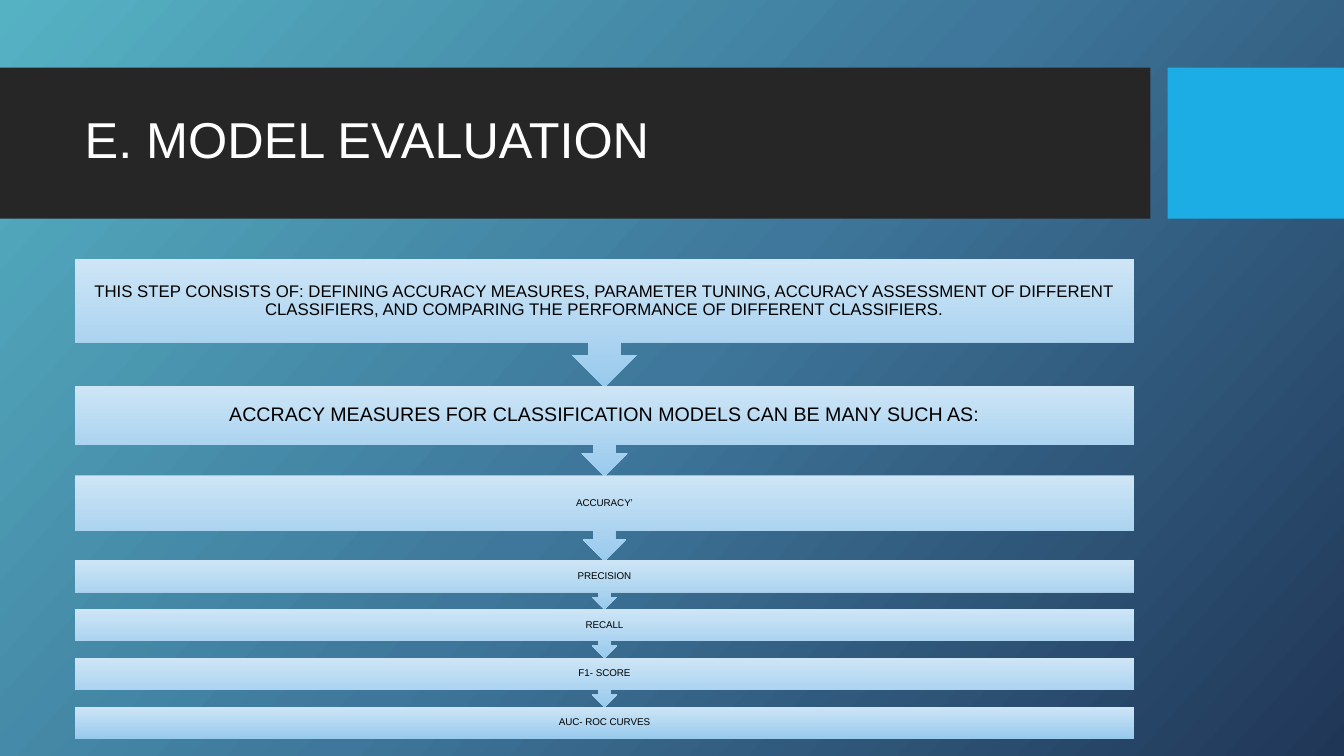
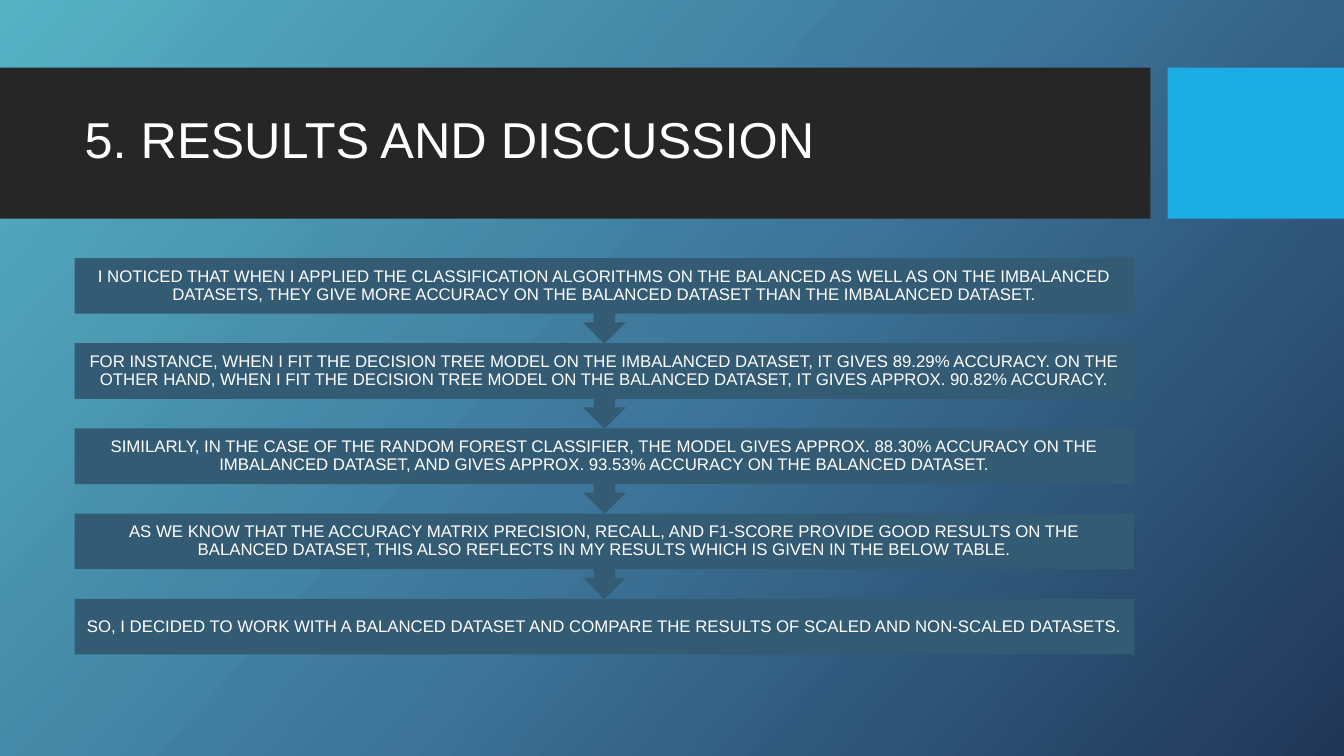
import copy
from dataclasses import dataclass

import pptx
import pptx.dml.color
import pptx.enum.shapes
import pptx.enum.text
import pptx.oxml.ns
import pptx.util

Inches = pptx.util.Inches
Shape = pptx.enum.shapes.MSO_SHAPE
Align = pptx.enum.text.PP_ALIGN


@dataclass(frozen=True)
class Theme:
    font: str = "Arial"
    backdrop: tuple = ("55B2C3", "3E779B", "203657")
    band: str = "262626"
    accent: str = "1CADE4"
    pale: tuple = ("CEE5F6", "98CAED")
    slate: str = "335B74"
    dark_text: str = "000000"
    light_text: str = "FFFFFF"
    title_size: int = 36
    lead_size: int = 14
    body_size: int = 12
    small_size: int = 7


THEME = Theme()
LEFT, WIDTH = 0.74, 10.51
BOX_SHARE = 0.65  # part of a callout's height above its arrow

# Each step: text, height with arrow, type size, inset
EVALUATION_STEPS = [
    ("THIS STEP CONSISTS OF: DEFINING ACCURACY MEASURES, PARAMETER TUNING, "
     "ACCURACY ASSESSMENT OF DIFFERENT CLASSIFIERS, AND COMPARING THE "
     "PERFORMANCE OF DIFFERENT CLASSIFIERS.", 1.27, THEME.body_size, 0.09),
    ("ACCRACY MEASURES FOR CLASSIFICATION MODELS CAN BE MANY SUCH AS:",
     0.9, THEME.lead_size, 0.11),
    ("ACCURACY’", 0.85, THEME.small_size, 0.05),
] + [(measure, 0.49, THEME.small_size, 0.05)
     for measure in ("PRECISION", "RECALL", "F1- SCORE", "AUC- ROC CURVES")]

RESULT_STEPS = [(text, 0.85, THEME.body_size, 0.09) for text in (
    "I NOTICED THAT WHEN I APPLIED THE CLASSIFICATION ALGORITHMS ON THE "
    "BALANCED AS WELL AS ON THE IMBALANCED DATASETS, THEY GIVE MORE ACCURACY "
    "ON THE BALANCED DATASET THAN THE IMBALANCED DATASET.",
    "FOR INSTANCE, WHEN I FIT THE DECISION TREE MODEL ON THE IMBALANCED "
    "DATASET, IT GIVES 89.29% ACCURACY. ON THE OTHER HAND, WHEN I FIT THE "
    "DECISION TREE MODEL ON THE BALANCED DATASET, IT GIVES APPROX. 90.82% "
    "ACCURACY.",
    "SIMILARLY, IN THE CASE OF THE RANDOM FOREST CLASSIFIER, THE MODEL GIVES "
    "APPROX. 88.30% ACCURACY ON THE IMBALANCED DATASET, AND GIVES APPROX. "
    "93.53% ACCURACY ON THE BALANCED DATASET.",
    "AS WE KNOW THAT THE ACCURACY MATRIX PRECISION, RECALL, AND F1-SCORE "
    "PROVIDE GOOD RESULTS ON THE BALANCED DATASET, THIS ALSO REFLECTS IN MY "
    "RESULTS WHICH IS GIVEN IN THE BELOW TABLE.",
    "SO, I DECIDED TO WORK WITH A BALANCED DATASET AND COMPARE THE RESULTS "
    "OF SCALED AND NON-SCALED DATASETS.",
)]


def rgb(value):
    return pptx.dml.color.RGBColor.from_string(value)


def set_all(target, values):
    for name, value in values.items():
        setattr(target, name, value)


def fill_gradient(fill, element, colors, angle):
    """Fill with evenly spaced colours; angle is clockwise in degrees."""
    fill.gradient()
    fill.gradient_angle = 360 - angle
    stops = element.find(".//" + pptx.oxml.ns.qn("a:gsLst"))
    while len(stops) < len(colors):
        stops.append(copy.deepcopy(stops[0]))
    for i, (stop, color) in enumerate(zip(fill.gradient_stops, colors)):
        stop.color.rgb = rgb(color)
        stop.position = i / (len(colors) - 1)


class Deck:
    def __init__(self, theme):
        self.theme = theme
        self.prs = pptx.Presentation()
        set_all(self.prs, {"slide_width": Inches(13.33),
                           "slide_height": Inches(7.5)})
        master = self.prs.slide_master
        fill_gradient(master.background.fill, master.element, theme.backdrop, 42)
        self.s = None

    def slide(self, title):
        self.s = self.prs.slides.add_slide(self.prs.slide_layouts[5])
        self.shape(Shape.RECTANGLE, 0, 0.67, 11.41, 1.5, self.theme.band)
        self.shape(Shape.RECTANGLE, 11.58, 0.67, 1.75, 1.5, self.theme.accent)
        sp = self.s.shapes.title
        self.s.shapes.element.append(sp.element)  # bring in front of the bands
        set_all(sp, {"left": Inches(LEFT), "top": Inches(0.82),
                     "width": Inches(WIDTH), "height": Inches(1.18)})
        self.text(sp, title, self.theme.title_size, self.theme.light_text,
                  Align.LEFT, 0.1)

    def shape(self, kind, left, top, width, height, fill):
        """Add a borderless shape; a tuple of colours makes a gradient."""
        sp = self.s.shapes.add_shape(kind, Inches(left), Inches(top),
                                     Inches(width), Inches(height))
        sp.shadow.inherit = False
        sp.line.fill.background()
        if isinstance(fill, tuple):
            fill_gradient(sp.fill, sp.element, fill, 90)
        else:
            sp.fill.solid()
            sp.fill.fore_color.rgb = rgb(fill)
        return sp

    def text(self, sp, text, size, color, align, inset):
        tf = sp.text_frame
        set_all(tf, {"word_wrap": True,
                     "auto_size": pptx.enum.text.MSO_AUTO_SIZE.NONE,
                     "vertical_anchor": pptx.enum.text.MSO_ANCHOR.MIDDLE})
        set_all(tf, {"margin_" + side: Inches(inset)
                     for side in ("left", "top", "right", "bottom")})
        p = tf.paragraphs[0]
        set_all(p, {"alignment": align, "line_spacing": 0.9})
        r = p.add_run()
        r.text = text
        set_all(r.font, {"name": self.theme.font, "size": pptx.util.Pt(size)})
        r.font.color.rgb = rgb(color)

    def process(self, steps, first_top, last_top, fill, color):
        """Stack arrow callouts that end in a plain box at last_top."""
        scale = (last_top - first_top) / sum(step[1] for step in steps[:-1])
        top = first_top
        for i, (text, height, size, inset) in enumerate(steps):
            kind = Shape.DOWN_ARROW_CALLOUT
            drawn = height
            if i == len(steps) - 1:
                kind, drawn = Shape.RECTANGLE, height * BOX_SHARE
            sp = self.shape(kind, LEFT, top, WIDTH, drawn, fill)
            self.text(sp, text, size, color, Align.CENTER, inset)
            top += height * scale


def main():
    deck = Deck(THEME)
    deck.slide("E. MODEL EVALUATION")
    deck.process(EVALUATION_STEPS, 2.57, 7.01, THEME.pale, THEME.dark_text)
    deck.slide("5. RESULTS AND DISCUSSION")
    deck.process(RESULT_STEPS, 2.56, 5.94, THEME.slate, THEME.light_text)
    deck.prs.save("out.pptx")


if __name__ == "__main__":
    main()
